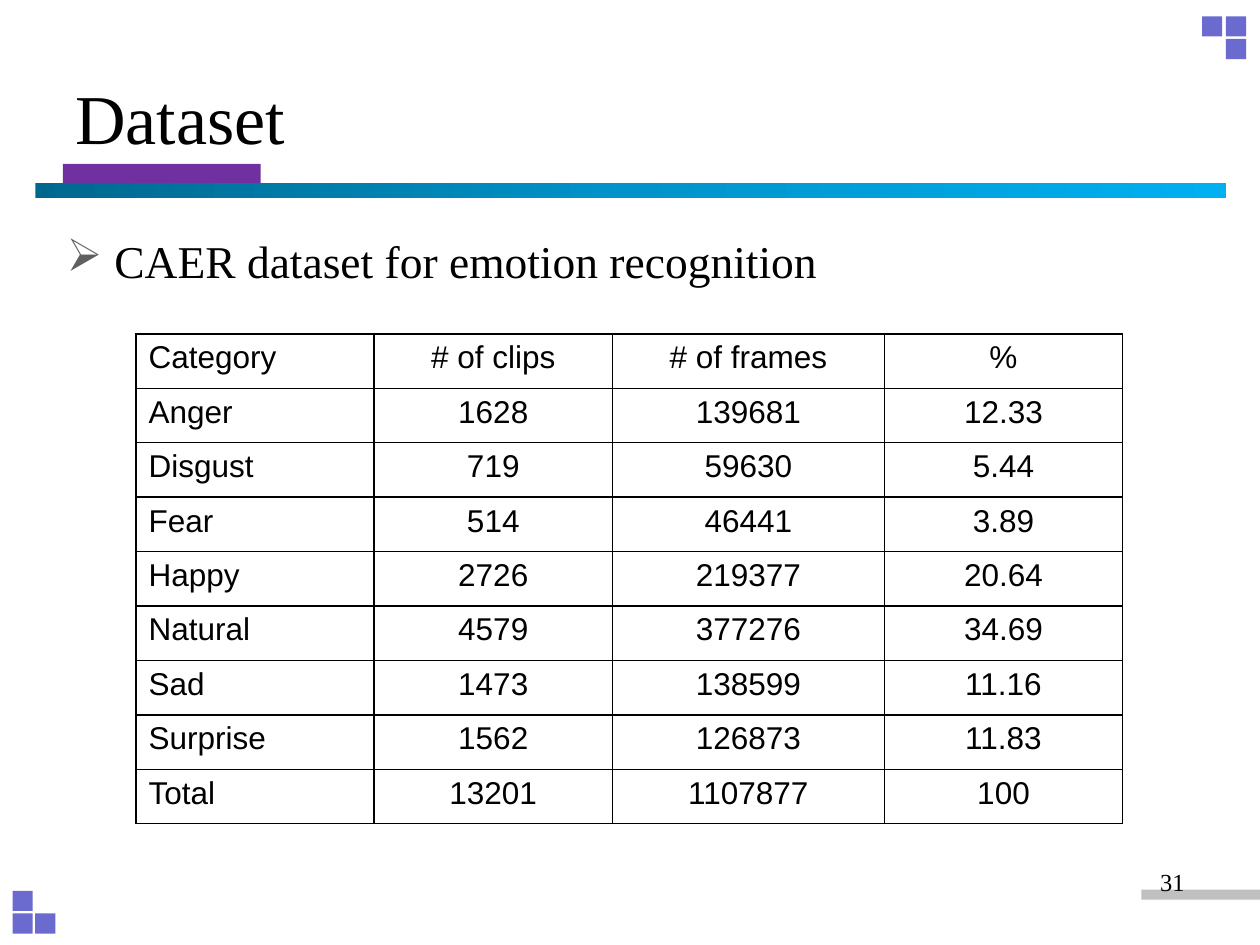
from copy import deepcopy

from lxml import etree
from pptx import Presentation
from pptx import util as u
from pptx.dml.color import RGBColor
from pptx.enum import shapes, text
from pptx.oxml.ns import qn

BLACK = RGBColor(0x00, 0x00, 0x00)
PURPLE = RGBColor(0x70, 0x30, 0xA0)
PERIWINKLE = RGBColor(0x6B, 0x6B, 0xCF)
SILVER = RGBColor(0xC0, 0xC0, 0xC0)
BULLET_GRAY = RGBColor(0x5F, 0x5F, 0x5F)
TEAL = RGBColor(0x00, 0x68, 0x8E)
BLUE = RGBColor(0x00, 0x94, 0xCA)
SKY = RGBColor(0x00, 0xB0, 0xF0)

presentation = Presentation()
presentation.slide_width = u.Inches(10)
presentation.slide_height = u.Inches(7.5)
slide = presentation.slides.add_slide(presentation.slide_layouts[6])


def add_bar(left, top, width, height, color):
    shape = slide.shapes.add_shape(
        shapes.MSO_SHAPE.RECTANGLE,
        u.Inches(left), u.Inches(top), u.Inches(width), u.Inches(height),
    )
    shape.shadow.inherit = False
    shape.fill.solid()
    shape.fill.fore_color.rgb = color
    shape.line.fill.background()
    return shape


def add_label(left, top, width, height, wording, size):
    box = slide.shapes.add_textbox(
        u.Inches(left), u.Inches(top), u.Inches(width), u.Inches(height)
    )
    box.text_frame.word_wrap = True
    paragraph = box.text_frame.paragraphs[0]
    paragraph.text = wording
    return box.text_frame, paragraph, size


add_bar(9.06, 7.06, 0.94, 0.08, SILVER)
add_bar(0.5, 1.3, 1.57, 0.16, PURPLE)

rule = add_bar(0.28, 1.45, 9.45, 0.12, TEAL)
rule.fill.gradient()
rule.fill.gradient_angle = 0
stop_list = rule._element.spPr.find(qn("a:gradFill")).find(qn("a:gsLst"))
stop_list.insert(1, deepcopy(stop_list[0]))
for stop, color, position in zip(rule.fill.gradient_stops, (TEAL, BLUE, SKY), (0, 0.5, 1)):
    stop.color.rgb = color
    stop.position = position

for left, top in ((9.54, 0.13), (9.73, 0.13), (9.73, 0.31),
                  (0.1, 7.07), (0.1, 7.25), (0.28, 7.25)):
    add_bar(left, top, 0.16, 0.16, PERIWINKLE)

title = add_label(0.5, 0.3, 9, 1.25, "Dataset", 40)
body = add_label(0.43, 1.8, 9, 0.6, "CAER dataset for emotion recognition", 26)
number = add_label(7.17, 6.83, 2.33, 0.52, "31", 14)

title[0].vertical_anchor = text.MSO_ANCHOR.MIDDLE
number[1].alignment = text.PP_ALIGN.RIGHT

properties = body[1]._p.get_or_add_pPr()
properties.set("marL", str(u.Inches(0.38)))
properties.set("indent", str(-u.Inches(0.38)))
bullet_color = etree.SubElement(properties, qn("a:buClr"))
etree.SubElement(bullet_color, qn("a:srgbClr"), val=str(BULLET_GRAY))
etree.SubElement(properties, qn("a:buChar"), char="➢")

for frame, paragraph, size in (title, body, number):
    paragraph.font.name = "Times New Roman"
    paragraph.font.size = u.Pt(size)
    paragraph.font.color.rgb = BLACK

rows = [
    ("Category", "# of clips", "# of frames", "%"),
    ("Anger", "1628", "139681", "12.33"),
    ("Disgust", "719", "59630", "5.44"),
    ("Fear", "514", "46441", "3.89"),
    ("Happy", "2726", "219377", "20.64"),
    ("Natural", "4579", "377276", "34.69"),
    ("Sad", "1473", "138599", "11.16"),
    ("Surprise", "1562", "126873", "11.83"),
    ("Total", "13201", "1107877", "100"),
]
table = slide.shapes.add_table(
    len(rows), 4, u.Inches(1.08), u.Inches(2.65), u.Inches(7.84), u.Inches(3.89)
).table
table.first_row = False
table.horz_banding = False
for column, width in zip(table.columns, (1.89, 1.89, 2.16, 1.89)):
    column.width = u.Inches(width)

for row_index, row in enumerate(rows):
    for column_index, value in enumerate(row):
        cell = table.cell(row_index, column_index)
        cell.text = value
        paragraph = cell.text_frame.paragraphs[0]
        paragraph.alignment = text.PP_ALIGN.CENTER if column_index else text.PP_ALIGN.LEFT
        paragraph.font.name = "Arial"
        paragraph.font.size = u.Pt(18)
        paragraph.font.color.rgb = BLACK
        cell_properties = cell._tc.get_or_add_tcPr()
        for side in ("a:lnL", "a:lnR", "a:lnT", "a:lnB"):
            border = etree.SubElement(cell_properties, qn(side), w=str(u.Pt(1)))
            border_fill = etree.SubElement(border, qn("a:solidFill"))
            etree.SubElement(border_fill, qn("a:srgbClr"), val=str(BLACK))
        cell.fill.background()

presentation.save("out.pptx")
